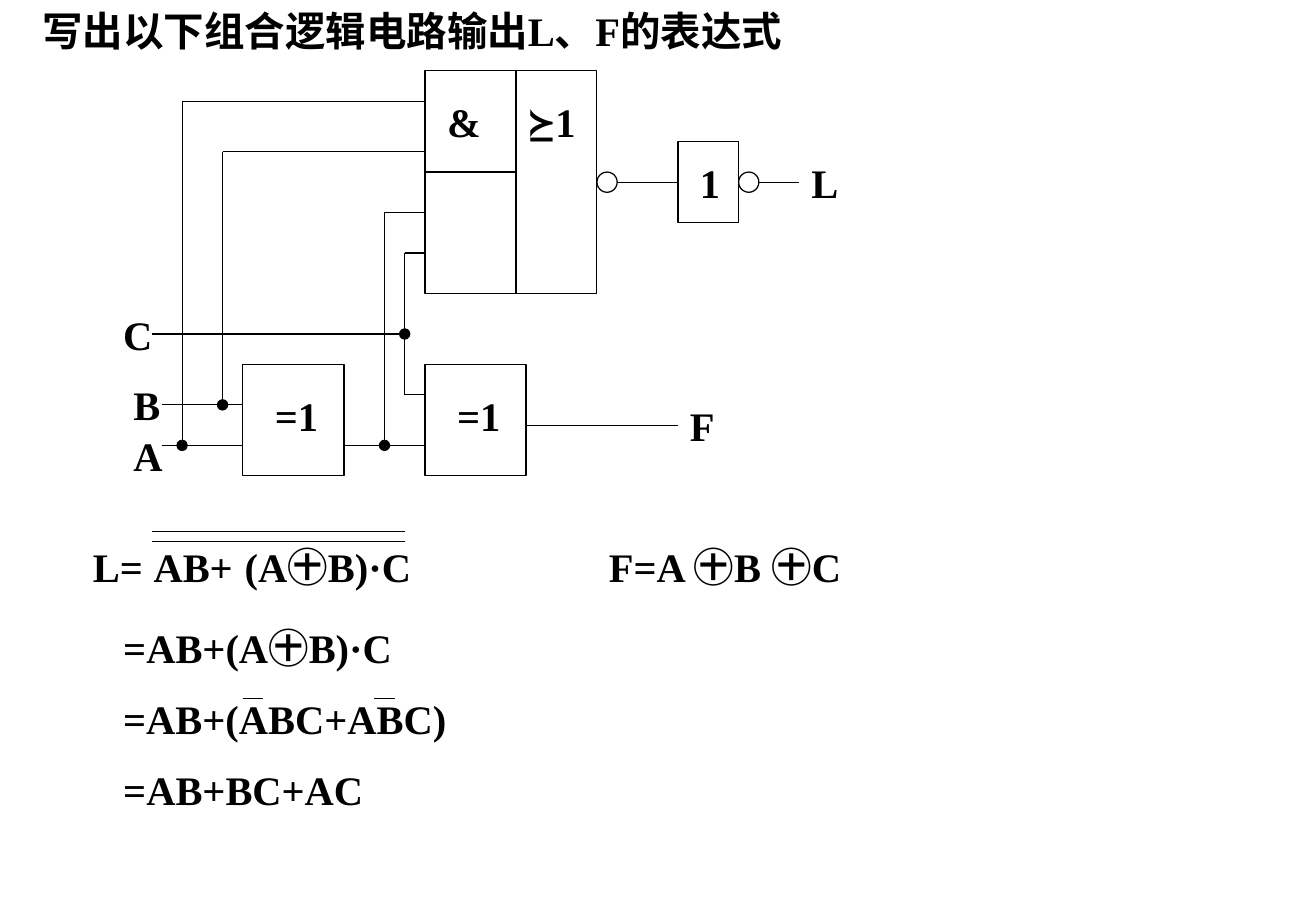
from dataclasses import dataclass
from itertools import pairwise

from lxml.etree import SubElement
from pptx import Presentation
from pptx.dml.color import RGBColor
from pptx.enum.shapes import MSO_CONNECTOR, MSO_SHAPE
from pptx.enum.text import MSO_AUTO_SIZE
from pptx.oxml.ns import qn
from pptx.shapes.autoshape import Shape
from pptx.shapes.connector import Connector
from pptx.slide import Slide
from pptx.util import Cm, Length, Pt

COLORS = {"ink": "000000", "paper": "FFFFFF"}
FONT = "Times New Roman"
GRID_CM = 2.54 / 12
LINE_WIDTH = Pt(0.75)
LABEL_HEIGHT = 6
DOT_SIZE = 1
BUBBLE_SIZE = 2
LEFT_SIDE = 1


@dataclass(frozen=True)
class Box:
    left: float
    top: float
    width: float
    height: float


@dataclass(frozen=True)
class Wire:
    points: tuple[tuple[float, float], ...]


@dataclass(frozen=True)
class Label:
    text: str
    left: float
    top: float
    width: float


AND_OR_GATE = Box(42, 7, 17, 22)
INVERTER = Box(67, 14, 6, 8)
XOR_GATES = [Box(left, 36, 10, 11) for left in (24, 42)]
BUBBLES = [Box(gate.left + gate.width, 17, BUBBLE_SIZE, BUBBLE_SIZE)
           for gate in (AND_OR_GATE, INVERTER)]
JUNCTIONS = [(22, 40), (18, 44), (40, 33), (38, 44)]

INVERTER_INPUT = Wire(((61, 18), (67, 18)))
WIRES = [
    Wire(((51, 7), (51, 29))),
    Wire(((51, 17), (42, 17))),
    Wire(((75, 18), (79, 18))),
    Wire(((24, 40), (16, 40))),
    Wire(((24, 44), (16, 44))),
    Wire(((18, 44), (18, 10), (42, 10))),
    Wire(((22, 40), (22, 15), (42, 15))),
    Wire(((34, 44), (42, 44))),
    Wire(((38, 44), (38, 21), (42, 21))),
    Wire(((15, 33), (40, 33), (40, 25), (42, 25))),
    Wire(((40, 33), (40, 39), (42, 39))),
    Wire(((52, 42), (67, 42))),
]
OVERLINES = [
    Wire(((15, 52.5), (40, 52.5))),
    Wire(((15, 53.5), (40, 53.5))),
    Wire(((24, 69), (26, 69))),
    Wire(((37, 69), (39, 69))),
]

LABELS = [
    Label("写出以下组合逻辑电路输出L、F的表达式", 3, 0, 111),
    Label("&", 43, 9, 8),
    Label("≽1", 51, 9, 8),
    Label("1", 68, 15, 5),
    *(Label("=1", gate.left + 2, 38, 7) for gate in XOR_GATES),
    Label("A", 12, 42, 7),
    Label("B", 12, 37, 7),
    Label("C", 11, 30, 6),
    Label("L", 79, 15, 10),
    Label("F", 67, 39, 10),
    Label("L=", 8, 53, 9),
    Label("AB+", 14, 53, 11),
    Label("(A㊉B)·C", 23, 53, 27),
    Label("=AB+(A㊉B)·C", 11, 61, 39),
    Label("=AB+(ABC+ABC)", 11, 68, 48),
    Label("=AB+BC+AC", 11, 75, 39),
    Label("F=A ㊉B ㊉C", 59, 53, 30),
]


def grid(units: float) -> Length:
    return Cm(units * GRID_CM)


def color(name: str) -> RGBColor:
    return RGBColor.from_string(COLORS[name])


def add_outline(slide: Slide, kind: MSO_SHAPE, box: Box, filled: bool = False) -> Shape:
    shape = slide.shapes.add_shape(
        kind, grid(box.left), grid(box.top), grid(box.width), grid(box.height))
    shape.shadow.inherit = False
    if filled:
        shape.fill.solid()
        shape.fill.fore_color.rgb = color("ink")
    else:
        shape.fill.background()
    shape.line.color.rgb = color("ink")
    shape.line.width = LINE_WIDTH
    return shape


def add_wire(slide: Slide, wire: Wire) -> list[Connector]:
    segments = []
    for (x1, y1), (x2, y2) in pairwise(wire.points):
        connector = slide.shapes.add_connector(
            MSO_CONNECTOR.STRAIGHT, grid(x1), grid(y1), grid(x2), grid(y2))
        connector.line.color.rgb = color("ink")
        connector.line.width = LINE_WIDTH
        SubElement(connector.element.spPr, qn("a:effectLst"))
        segments.append(connector)
    return segments


def add_text(slide: Slide, text: str, *, box: Box, size: float = 24,
             bold: bool = True, ink: str = "ink") -> Shape:
    shape = slide.shapes.add_textbox(
        grid(box.left), grid(box.top), grid(box.width), grid(box.height))
    frame = shape.text_frame
    frame.word_wrap = True
    frame.auto_size = MSO_AUTO_SIZE.SHAPE_TO_FIT_TEXT
    paragraph = frame.paragraphs[0]
    run = paragraph.add_run()
    run.text = text
    run.font.name = FONT
    run.font.size = Pt(size)
    run.font.bold = bold
    run.font.color.rgb = color(ink)
    return shape


def main() -> None:
    presentation = Presentation()
    presentation.slide_width = Cm(27.53)
    presentation.slide_height = Cm(19.05)
    slide = presentation.slides.add_slide(presentation.slide_layouts[6])
    slide.background.fill.solid()
    slide.background.fill.fore_color.rgb = color("paper")

    for gate in (AND_OR_GATE, *XOR_GATES):
        add_outline(slide, MSO_SHAPE.RECTANGLE, gate)
    inverter = add_outline(slide, MSO_SHAPE.RECTANGLE, INVERTER)
    for bubble in BUBBLES:
        add_outline(slide, MSO_SHAPE.OVAL, bubble)

    for wire in WIRES + OVERLINES:
        add_wire(slide, wire)
    add_wire(slide, INVERTER_INPUT)[-1].end_connect(inverter, LEFT_SIDE)

    for x, y in JUNCTIONS:
        dot = Box(x - DOT_SIZE / 2, y - DOT_SIZE / 2, DOT_SIZE, DOT_SIZE)
        add_outline(slide, MSO_SHAPE.OVAL, dot, filled=True)
    for label in LABELS:
        add_text(slide, label.text,
                 box=Box(label.left, label.top, label.width, LABEL_HEIGHT))

    presentation.save("out.pptx")


if __name__ == "__main__":
    main()
